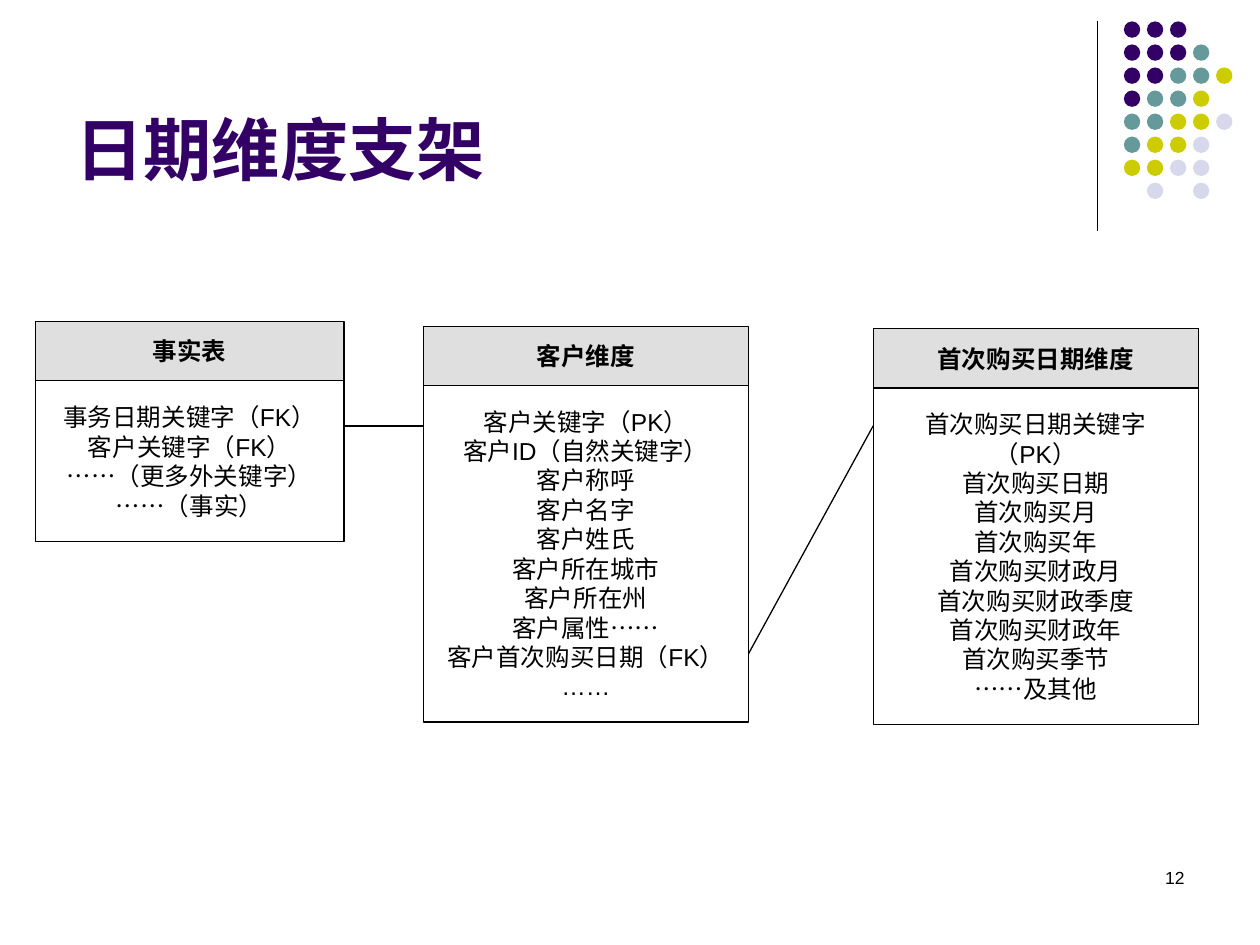
"""Build the slide about the date dimension outrigger."""
from dataclasses import dataclass

from lxml.etree import SubElement
from pptx import Presentation
from pptx.dml.color import RGBColor
from pptx.enum.lang import MSO_LANGUAGE_ID
from pptx.enum.shapes import MSO_CONNECTOR, MSO_SHAPE
from pptx.enum.text import MSO_ANCHOR, PP_ALIGN
from pptx.oxml.ns import qn
from pptx.util import Inches, Pt


@dataclass(frozen=True)
class Theme:
    font: str = "Arial"
    ink: str = "000000"
    purple: str = "330066"
    teal: str = "669999"
    lime: str = "CCCC00"
    lavender: str = "D8D8EC"
    header: str = "C0C0C0"
    header_opacity: int = 50
    title_size: int = 39
    body_size: int = 14
    number_size: int = 10
    line_width: float = 0.75


class SlideBuilder:
    def __init__(self, slide, theme):
        self.slide = slide
        self.theme = theme

    def add_lines(self, shape, lines, size, color, bold=False,
                  align=PP_ALIGN.LEFT, anchor=MSO_ANCHOR.TOP):
        frame = shape.text_frame
        frame.word_wrap = True
        frame.vertical_anchor = anchor
        for index, line in enumerate(lines):
            paragraph = frame.add_paragraph() if index else frame.paragraphs[0]
            paragraph.alignment = align
            run = paragraph.add_run()
            run.text = line
            font = run.font
            font.name = self.theme.font
            font.size = Pt(size)
            font.bold = bold
            font.color.rgb = RGBColor.from_string(color)
            font.language_id = MSO_LANGUAGE_ID.SIMPLIFIED_CHINESE

    def text(self, left, top, width, height, content, size, color, **style):
        box = self.slide.shapes.add_textbox(
            Inches(left), Inches(top), Inches(width), Inches(height))
        self.add_lines(box, [content], size, color, **style)

    def shape(self, kind, left, top, width, height, fill=None, opacity=100):
        shape = self.slide.shapes.add_shape(
            kind, Inches(left), Inches(top), Inches(width), Inches(height))
        shape.shadow.inherit = False
        if fill is None:
            shape.fill.background()
        else:
            shape.fill.solid()
            shape.fill.fore_color.rgb = RGBColor.from_string(fill)
        if opacity < 100:
            color = next(shape._element.spPr.iter(qn("a:srgbClr")))
            SubElement(color, qn("a:alpha")).set("val", str(opacity * 1000))
        return shape

    def outline(self, line):
        line.color.rgb = RGBColor.from_string(self.theme.ink)
        line.width = Pt(self.theme.line_width)

    def line(self, start_x, start_y, end_x, end_y):
        connector = self.slide.shapes.add_connector(
            MSO_CONNECTOR.STRAIGHT, Inches(start_x), Inches(start_y),
            Inches(end_x), Inches(end_y))
        self.outline(connector.line)
        SubElement(connector._element.spPr, qn("a:effectLst"))

    def dots(self, left, top, pitch, diameter, rows):
        colors = {"P": self.theme.purple, "T": self.theme.teal,
                  "L": self.theme.lime, "V": self.theme.lavender}
        for row, pattern in enumerate(rows):
            for column, key in enumerate(pattern):
                if key in colors:
                    dot = self.shape(
                        MSO_SHAPE.OVAL, left + column * pitch,
                        top + row * pitch, diameter, diameter, colors[key])
                    dot.line.fill.background()

    def entity(self, left, top, width, body_height, name, fields):
        theme = self.theme
        header_height = 0.47
        header = self.shape(MSO_SHAPE.RECTANGLE, left, top, width,
                            header_height, theme.header, theme.header_opacity)
        body = self.shape(MSO_SHAPE.RECTANGLE, left, top + header_height,
                          width, body_height)
        for shape, lines, bold in ((header, [name], True), (body, fields, False)):
            self.outline(shape.line)
            self.add_lines(shape, lines, theme.body_size, theme.ink, bold,
                           PP_ALIGN.CENTER, MSO_ANCHOR.MIDDLE)


CUSTOMER_FIELDS = [
    "客户关键字（PK）", "客户ID（自然关键字）", "客户称呼", "客户名字", "客户姓氏",
    "客户所在城市", "客户所在州", "客户属性……", "客户首次购买日期（FK）", "……",
]
FACT_FIELDS = [
    "事务日期关键字（FK）", "客户关键字（FK）", "……（更多外关键字）", "……（事实）",
]
FIRST_PURCHASE_FIELDS = [
    "首次购买日期关键字（PK）", "首次购买日期", "首次购买月", "首次购买年",
    "首次购买财政月", "首次购买财政季度", "首次购买财政年", "首次购买季节", "……及其他",
]
DOT_ROWS = ["PPP", "PPPT", "PPTTL", "PTTL", "TTLLV", "TLLV", "LLVV", " V V"]


def main():
    presentation = Presentation()
    presentation.slide_width = Inches(10)
    presentation.slide_height = Inches(7.5)
    slide = presentation.slides.add_slide(presentation.slide_layouts[6])
    theme = Theme()
    builder = SlideBuilder(slide, theme)

    builder.line(8.71, 0.17, 8.71, 1.83)
    builder.dots(8.92, 0.17, 1.28 / 7, 0.13, DOT_ROWS)
    builder.text(0.5, 0.13, 8.25, 1.42, "日期维度支架", theme.title_size,
                 theme.purple, bold=True, anchor=MSO_ANCHOR.BOTTOM)
    builder.text(7.17, 6.83, 2.33, 0.5, "12", theme.number_size,
                 theme.ink, align=PP_ALIGN.RIGHT)

    builder.entity(3.36, 2.59, 2.58, 2.67, "客户维度", CUSTOMER_FIELDS)
    builder.entity(0.28, 2.55, 2.45, 1.28, "事实表", FACT_FIELDS)
    builder.line(2.74, 3.38, 3.36, 3.38)
    builder.line(5.94, 5.19, 6.93, 3.38)
    builder.entity(6.93, 2.61, 2.58, 2.67, "首次购买日期维度", FIRST_PURCHASE_FIELDS)

    presentation.save("out.pptx")


if __name__ == "__main__":
    main()
